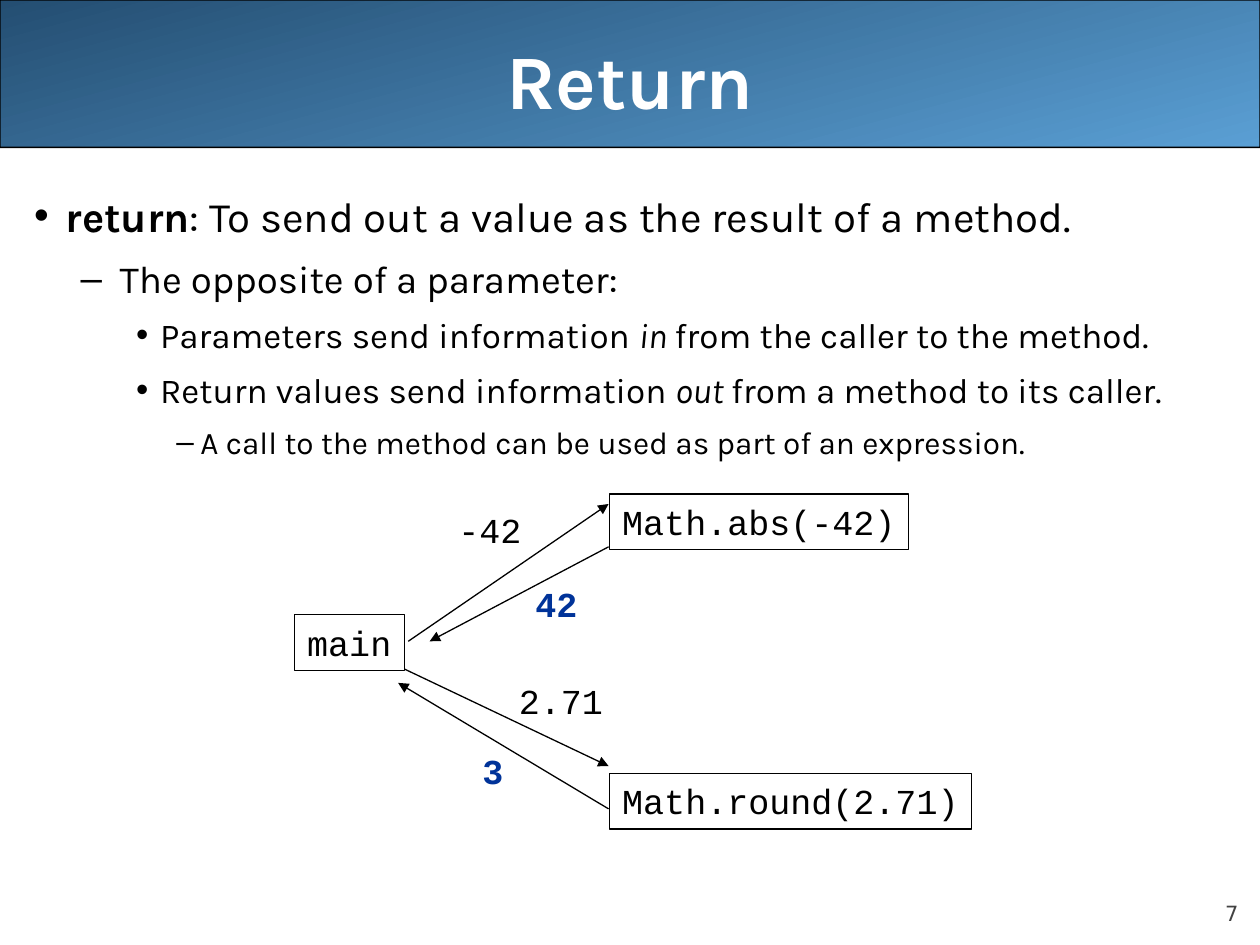
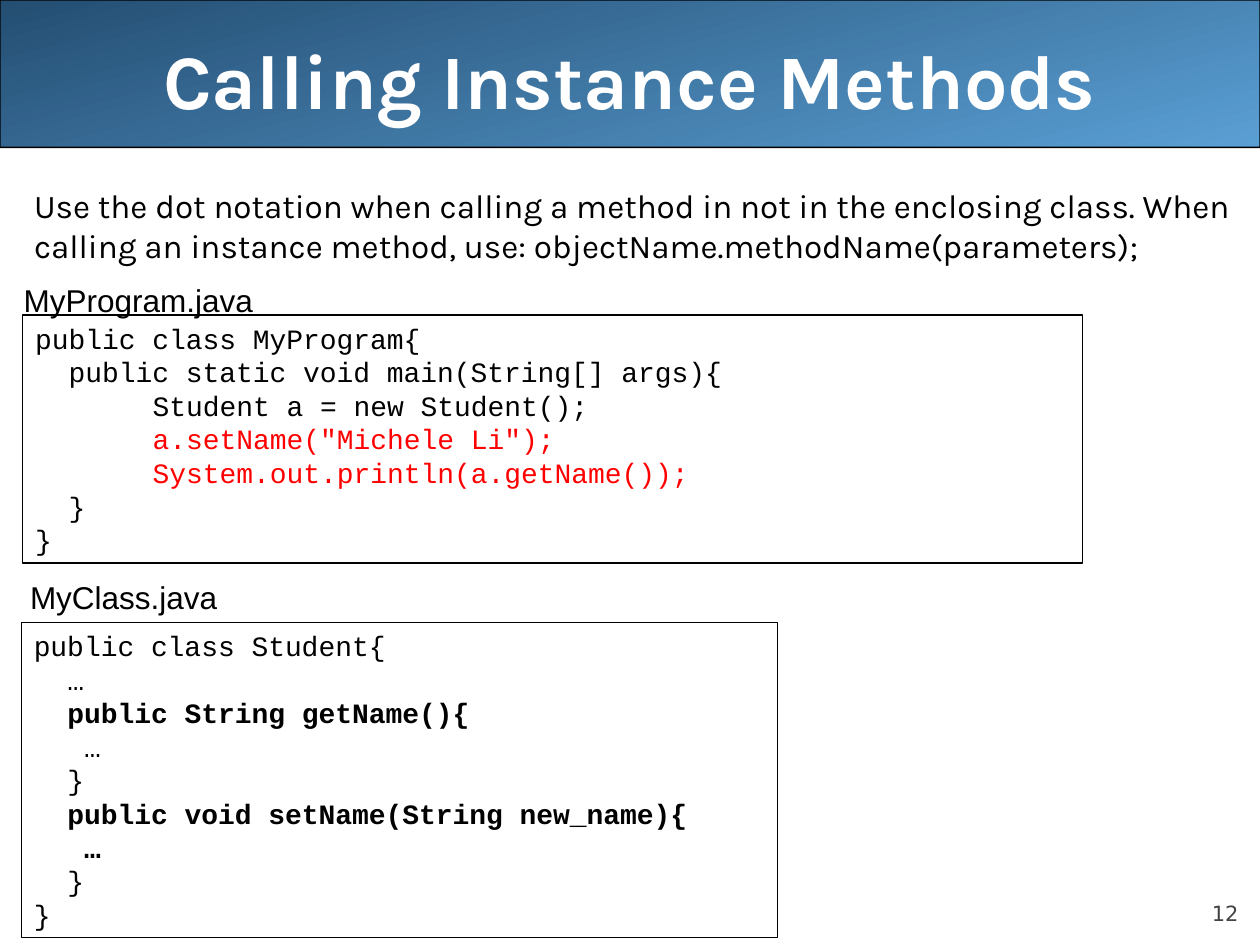
from dataclasses import dataclass

import pptx
import pptx.dml.color
import pptx.enum.shapes
import pptx.enum.text
import pptx.oxml
import pptx.oxml.ns
import pptx.util
from pptx.util import Inches

COLORS = {
    "black": "000000",
    "white": "FFFFFF",
    "band_dark": "244E72",
    "band_light": "5A9FD4",
    "number": "424242",
    "result": "003399",
    "call": "FF0000",
}
BODY_FONT, CODE_FONT, LABEL_FONT, NUMBER_FONT = "Karla", "Courier New", "Arial", "DejaVu Sans"
CODE_SIZE = 16
CODE_COLUMN = 0.6 * CODE_SIZE / 72  # a Courier character is 0.6 em wide
ALIGN = pptx.enum.text.PP_ALIGN
ANCHOR = pptx.enum.text.MSO_ANCHOR
AUTO_SIZE = pptx.enum.text.MSO_AUTO_SIZE


@dataclass
class Span:
    text: str
    bold: bool = False
    italic: bool = False


@dataclass
class Bullet:
    level: int
    spans: list[Span]


@dataclass
class BulletStyle:
    margin: float
    hanging: float
    size: float
    before: float
    symbol: str


@dataclass
class Label:
    left: float
    top: float
    width: float
    text: str
    outlined: bool = False
    result: bool = False


@dataclass
class Arrow:
    start: tuple[float, float]
    end: tuple[float, float]


@dataclass
class CodeLine:
    column: int
    text: str
    color: str = "black"
    bold: bool = False


@dataclass
class Listing:
    name: str
    name_box: tuple[float, float, float, float]
    code_box: tuple[float, float, float, float]
    lines: list[CodeLine]


BULLET_STYLES = [
    BulletStyle(0.25, 0.25, 24, 6, "•"),
    BulletStyle(0.68, 0.31, 22, 5.5, "–"),
    BulletStyle(1, 0.19, 20, 5, "•"),
    BulletStyle(1.32, 0.19, 18, 4.5, "–"),
]
RETURN_BULLETS = [
    Bullet(0, [Span("return", bold=True),
               Span(": To send out a value as the result of a method.")]),
    Bullet(1, [Span("The opposite of a parameter:")]),
    Bullet(2, [Span("Parameters send information "), Span("in ", italic=True),
               Span("from the caller to the method.")]),
    Bullet(2, [Span("Return values send information "), Span("out ", italic=True),
               Span("from a method to its caller.")]),
    Bullet(3, [Span("A call to the method can be used as part of an expression.")]),
]
CALL_LABELS = [
    Label(2.34, 4.88, 0.87, "main", outlined=True),
    Label(4.84, 3.92, 2.37, "Math.abs(-42)", outlined=True),
    Label(4.84, 6.14, 2.87, "Math.round(2.71)", outlined=True),
    Label(3.54, 3.99, 0.7, "-42"),
    Label(4.02, 5.34, 0.87, "2.71"),
    Label(4.15, 4.57, 0.55, "42", result=True),
    Label(3.73, 5.9, 0.37, "3", result=True),
]
CALL_ARROWS = [
    Arrow((3.24, 5.09), (4.83, 4)),
    Arrow((4.83, 4.34), (3.41, 5.09)),
    Arrow((3.21, 5.31), (4.83, 6.08)),
    Arrow((4.83, 6.42), (3.16, 5.42)),
]
LISTINGS = [
    Listing("MyProgram.java", (0.09, 2.18, 2.04, 0.4), (0.18, 2.5, 8.41, 1.97), [
        CodeLine(0, "public class MyProgram{"),
        CodeLine(2, "public static void main(String[] args){"),
        CodeLine(7, "Student a = new Student();"),
        CodeLine(7, 'a.setName("Michele Li");', "call"),
        CodeLine(7, "System.out.println(a.getName());", "call"),
        CodeLine(2, "}"),
        CodeLine(0, "}"),
    ]),
    Listing("MyClass.java", (0.14, 4.54, 1.7, 0.4), (0.17, 4.94, 6, 2.5), [
        CodeLine(0, "public class Student{"),
        CodeLine(2, "…"),
        CodeLine(2, "public String getName(){", bold=True),
        CodeLine(3, "…"),
        CodeLine(2, "}"),
        CodeLine(2, "public void setName(String new_name){", bold=True),
        CodeLine(3, "…", bold=True),
        CodeLine(2, "}"),
        CodeLine(0, "}"),
    ]),
]


def rgb(name: str) -> pptx.dml.color.RGBColor:
    return pptx.dml.color.RGBColor.from_string(COLORS[name])


def format_font(font, face: str, size: float, color: str = "black",
                bold: bool = False, italic: bool = False) -> None:
    font.name, font.size = face, pptx.util.Pt(size)
    font.bold, font.italic = bold, italic
    font.color.rgb = rgb(color)


def place(shape, left: float, top: float, width: float, height: float) -> None:
    shape.left, shape.top = Inches(left), Inches(top)
    shape.width, shape.height = Inches(width), Inches(height)


def outline(shape) -> None:
    shape.line.color.rgb = rgb("black")
    shape.line.width = pptx.util.Pt(0.75)


def indent(para, margin: float, hanging: float = 0):
    """Set the left margin and hanging indent, and return the properties element."""
    properties = para._p.get_or_add_pPr()
    properties.set("marL", str(Inches(margin)))
    properties.set("indent", str(-Inches(hanging)))
    return properties


def add_child(parent, tag: str, **attributes: str) -> None:
    child = pptx.oxml.parse_xml(f"<a:{tag} {pptx.oxml.ns.nsdecls('a')}/>")
    for name, value in attributes.items():
        child.set(name, value)
    parent.append(child)


def add_title_band(page) -> None:
    """Draw the gradient band behind the placeholders."""
    band = page.shapes.add_shape(pptx.enum.shapes.MSO_SHAPE.ROUNDED_RECTANGLE,
                                 0, 0, Inches(10), Inches(1.17))
    band.adjustments[0] = 0.001
    band.shadow.inherit = False
    band.fill.gradient()
    band.fill.gradient_angle = 285
    for stop, color in zip(band.fill.gradient_stops, ("band_dark", "band_light")):
        stop.color.rgb = rgb(color)
    outline(band)
    page.shapes.element.insert(2, band.element)


def add_page(deck, title: str, number: int, body_height: float):
    page = deck.slides.add_slide(deck.slide_layouts[1])
    add_title_band(page)
    heading, body = page.placeholders
    place(heading, 0.5, 0, 9, 1.25)
    place(body, 0.17, 1.42, 9.83, body_height)
    for holder in (heading, body):
        holder.text_frame.auto_size = AUTO_SIZE.NONE
    heading.text_frame.text = title
    heading.text_frame.vertical_anchor = ANCHOR.MIDDLE
    para = heading.text_frame.paragraphs[0]
    para.alignment = ALIGN.CENTER
    format_font(para.runs[0].font, BODY_FONT, 44, "white", bold=True)

    box = add_text(page.shapes, (9, 6.95, 0.83, 0.4), str(number),
                   NUMBER_FONT, 12, "number", before=5)
    frame = box.text_frame
    frame.word_wrap, frame.auto_size = True, AUTO_SIZE.NONE
    frame.margin_left = frame.margin_right = frame.margin_top = frame.margin_bottom = 0
    frame.vertical_anchor = ANCHOR.BOTTOM
    frame.paragraphs[0].alignment = ALIGN.RIGHT
    return page


def add_text(shapes, bounds: tuple[float, float, float, float], text: str, face: str,
             size: float, color: str = "black", bold: bool = False, before: float = 0):
    box = shapes.add_textbox(*map(Inches, bounds))
    frame = box.text_frame
    frame.text = text
    frame.word_wrap, frame.auto_size = False, AUTO_SIZE.SHAPE_TO_FIT_TEXT
    for para in frame.paragraphs:
        para.space_before = pptx.util.Pt(before)
        format_font(para.runs[0].font, face, size, color, bold)
    return box


def fill_bullets(frame, bullets: list[Bullet]) -> None:
    for index, bullet in enumerate(bullets):
        para = frame.add_paragraph() if index else frame.paragraphs[0]
        style = BULLET_STYLES[bullet.level]
        para.level = bullet.level
        para.line_spacing = 1.1
        para.space_before = pptx.util.Pt(style.before)
        add_child(indent(para, style.margin, style.hanging), "buChar", char=style.symbol)
        for span in bullet.spans:
            run = para.add_run()
            run.text = span.text
            format_font(run.font, BODY_FONT, style.size, bold=span.bold, italic=span.italic)


def add_arrow(shapes, arrow: Arrow) -> None:
    line = shapes.add_connector(pptx.enum.shapes.MSO_CONNECTOR.STRAIGHT,
                                *map(Inches, arrow.start + arrow.end))
    outline(line)
    add_child(line.line._get_or_add_ln(), "tailEnd", type="triangle")
    add_child(line.element.spPr, "effectLst")


def add_call_diagram(page) -> None:
    for arrow in CALL_ARROWS:
        add_arrow(page.shapes, arrow)
    for label in CALL_LABELS:
        box = add_text(page.shapes, (label.left, label.top, label.width, 0.44), label.text,
                       CODE_FONT, 20, "result" if label.result else "black",
                       bold=label.result, before=5)
        if label.outlined:
            outline(box)


def add_listing(page, listing: Listing) -> None:
    code = "\n".join(line.text for line in listing.lines)
    box = add_text(page.shapes, listing.code_box, code, CODE_FONT, CODE_SIZE)
    box.text_frame.word_wrap = True
    outline(box)
    for para, line in zip(box.text_frame.paragraphs, listing.lines):
        indent(para, line.column * CODE_COLUMN)
        format_font(para.runs[0].font, CODE_FONT, CODE_SIZE, line.color, line.bold)
    add_text(page.shapes, listing.name_box, listing.name, LABEL_FONT, 18)


def main() -> None:
    deck = pptx.Presentation()
    deck.slide_width, deck.slide_height = Inches(10), Inches(7.5)

    page = add_page(deck, "Return", 7, 5.67)
    fill_bullets(page.placeholders[1].text_frame, RETURN_BULLETS)
    add_call_diagram(page)

    page = add_page(deck, "Calling Instance Methods", 12, 6.08)
    frame = page.placeholders[1].text_frame
    frame.text = ("Use the dot notation when calling a method in not in the enclosing class. "
                  "When calling an instance method, use: objectName.methodName(parameters);")
    para = frame.paragraphs[0]
    para.space_before = pptx.util.Pt(4.8)
    add_child(indent(para, 0), "buNone")
    format_font(para.runs[0].font, BODY_FONT, 19)
    for listing in LISTINGS:
        add_listing(page, listing)

    deck.save("out.pptx")


if __name__ == "__main__":
    main()
